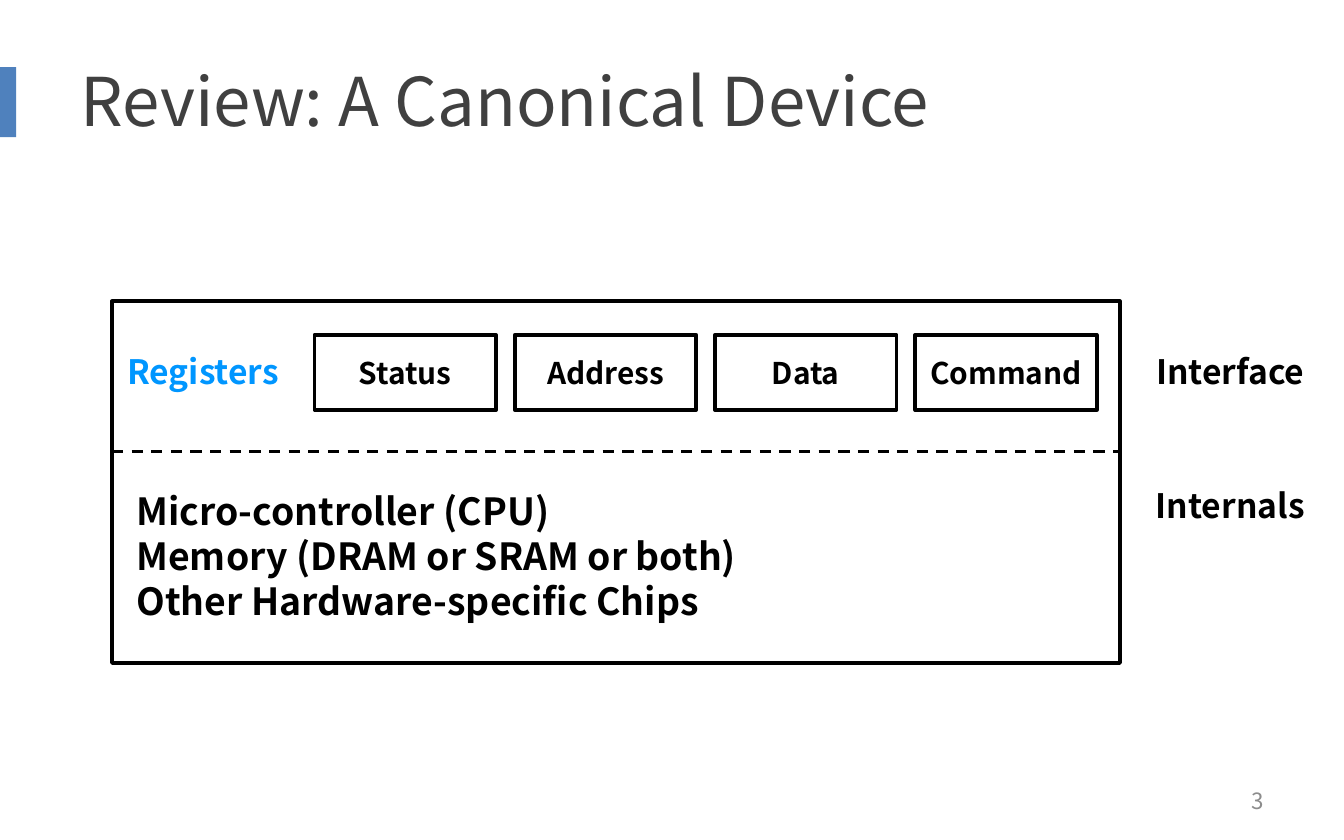
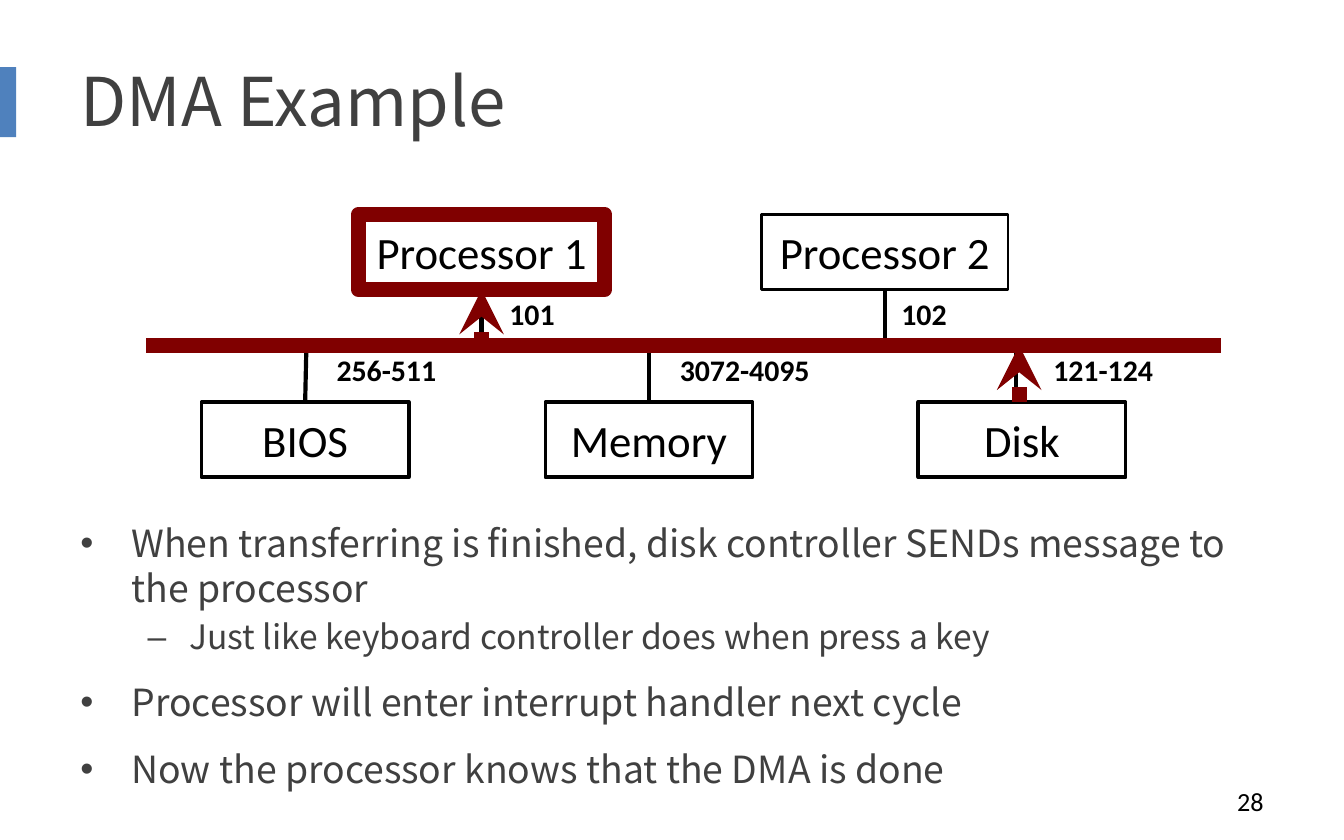
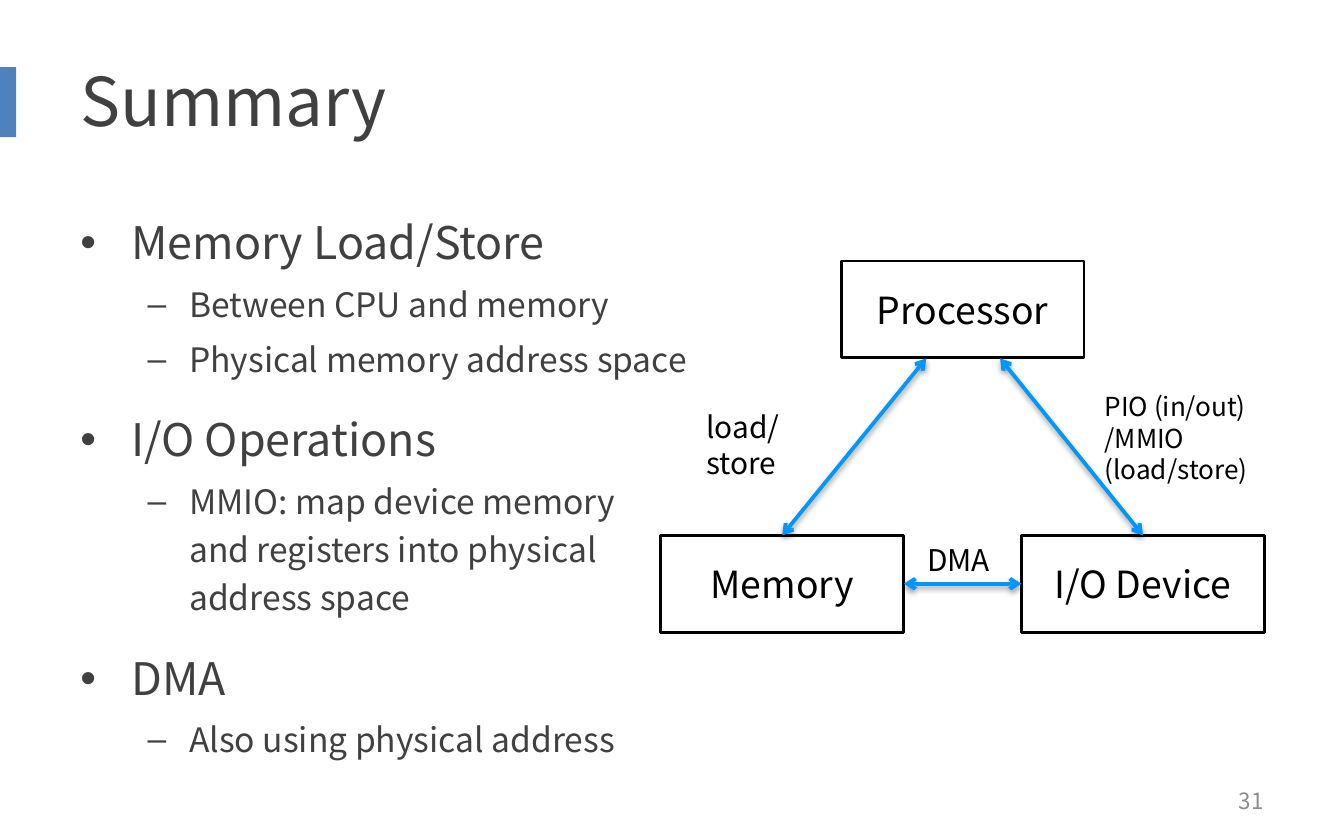
"""Builds three lecture slides about devices, DMA and input/output."""
from dataclasses import dataclass

from lxml.etree import SubElement
from pptx import Presentation
from pptx.dml.color import RGBColor
from pptx.enum.dml import MSO_LINE
from pptx.enum.shapes import MSO_CONNECTOR, MSO_SHAPE
from pptx.enum.text import MSO_ANCHOR, PP_ALIGN
from pptx.oxml.ns import qn
from pptx.util import Inches, Pt

COLUMNS, ROWS = 120, 75
TITLE_ONLY = 5
TOP, LEFT, BOTTOM, RIGHT = range(4)


@dataclass(frozen=True)
class TextStyle:
    size: float
    color: str = "000000"
    bold: bool = False
    font: str = "Noto Sans CJK SC"


@dataclass(frozen=True)
class Theme:
    black: str = "000000"
    white: str = "FFFFFF"
    accent: str = "4F81BD"
    blue: str = "0096FF"
    maroon: str = "800000"
    title: TextStyle = TextStyle(36, "404040")
    number: TextStyle = TextStyle(12, "8C8C8C")
    plain_number: TextStyle = TextStyle(14, font="Calibri")
    large: TextStyle = TextStyle(24, "404040")
    medium: TextStyle = TextStyle(20, "404040")
    small: TextStyle = TextStyle(18, "404040")
    register: TextStyle = TextStyle(16, bold=True)
    side: TextStyle = TextStyle(18, bold=True)
    registers: TextStyle = TextStyle(18, "0096FF", True)
    internals: TextStyle = TextStyle(20, bold=True)
    bus_box: TextStyle = TextStyle(24, font="Calibri")
    bus_range: TextStyle = TextStyle(16, bold=True, font="Calibri")
    node: TextStyle = TextStyle(20)
    caption: TextStyle = TextStyle(16)
    small_caption: TextStyle = TextStyle(14)


class Deck:
    def __init__(self, theme):
        self.theme = theme
        self.presentation = Presentation()
        self.presentation.slide_width = Inches(10)
        self.presentation.slide_height = Inches(6.25)
        self.slide = None

    def across(self, columns):
        return round(self.presentation.slide_width * columns / COLUMNS)

    def down(self, rows):
        return round(self.presentation.slide_height * rows / ROWS)

    def place(self, left, top, width, height):
        return self.across(left), self.down(top), self.across(width), self.down(height)

    def start(self, title, number, number_style=None):
        layout = self.presentation.slide_layouts[TITLE_ONLY]
        self.slide = self.presentation.slides.add_slide(layout)
        self.box((0, 6, 1.44, 6.24), fill=self.theme.accent)
        shape = self.slide.shapes.title
        shape.left, shape.top, shape.width, shape.height = self.place(6, 3, 108, 11.76)
        self.set_text(shape, [title], self.theme.title, PP_ALIGN.LEFT)
        self.text((86, 69.5, 28, 4), [str(number)],
                  number_style or self.theme.number, PP_ALIGN.RIGHT)

    def add_run(self, paragraph, text, style):
        run = paragraph.add_run()
        run.text = text
        run.font.name = style.font
        run.font.size = Pt(style.size)
        run.font.bold = style.bold
        run.font.color.rgb = RGBColor.from_string(style.color)

    def paragraphs(self, frame, count):
        return [frame.paragraphs[0]] + [frame.add_paragraph() for _ in range(count - 1)]

    def set_text(self, shape, lines, style, align, anchor=MSO_ANCHOR.MIDDLE):
        frame = shape.text_frame
        frame.word_wrap = True
        frame.vertical_anchor = anchor
        if align == PP_ALIGN.CENTER:
            frame.margin_left = frame.margin_right = 0
        for paragraph, line in zip(self.paragraphs(frame, len(lines)), lines):
            paragraph.alignment = align
            self.add_run(paragraph, line, style)

    def text(self, area, lines, style, align=PP_ALIGN.LEFT, anchor=MSO_ANCHOR.MIDDLE):
        shape = self.slide.shapes.add_textbox(*self.place(*area))
        self.set_text(shape, lines, style, align, anchor)

    def box(self, area, label=None, style=None, fill=None, line=None, weight=2):
        shape = self.slide.shapes.add_shape(MSO_SHAPE.RECTANGLE, *self.place(*area))
        shape.shadow.inherit = False
        if fill:
            shape.fill.solid()
            shape.fill.fore_color.rgb = RGBColor.from_string(fill)
        else:
            shape.fill.background()
        if line:
            shape.line.color.rgb = RGBColor.from_string(line)
            shape.line.width = Pt(weight)
        else:
            shape.line.fill.background()
        if label:
            self.set_text(shape, [label], style, PP_ALIGN.CENTER)
        return shape

    def line(self, start, end, color, weight, begin=None, finish=None,
             head=None, tail=None, dash=None, shadow=False):
        connector = self.slide.shapes.add_connector(
            MSO_CONNECTOR.STRAIGHT, self.across(start[0]), self.down(start[1]),
            self.across(end[0]), self.down(end[1]))
        if begin:
            connector.begin_connect(*begin)
        if finish:
            connector.end_connect(*finish)
        connector.line.color.rgb = RGBColor.from_string(color)
        connector.line.width = Pt(weight)
        if dash:
            connector.line.dash_style = dash
        properties = connector.line._get_or_add_ln()
        for tag, kind in (("a:headEnd", head), ("a:tailEnd", tail)):
            if kind:
                SubElement(properties, qn(tag), type=kind)
        effects = SubElement(connector._element.spPr, qn("a:effectLst"))
        if shadow:
            outer = SubElement(effects, qn("a:outerShdw"), blurRad="40000",
                               dist="20000", dir="5400000", rotWithShape="0")
            tint = SubElement(outer, qn("a:srgbClr"), val=self.theme.black)
            SubElement(tint, qn("a:alpha"), val="38000")

    def bullets(self, area, items, main_style, spacing=1.0):
        frame = self.slide.shapes.add_textbox(*self.place(*area)).text_frame
        frame.word_wrap = True
        levels = ((main_style, "•", 0.38, -0.38, 12), (self.theme.small, "–", 0.81, -0.31, 3.6))
        for index, (paragraph, (level, text)) in enumerate(
                zip(self.paragraphs(frame, len(items)), items)):
            style, mark, margin, indent, before = levels[level]
            properties = paragraph._p.get_or_add_pPr()
            properties.set("marL", str(Inches(margin)))
            properties.set("indent", str(Inches(indent)))
            SubElement(properties, qn("a:buFont"), typeface="Arial")
            SubElement(properties, qn("a:buChar"), char=mark)
            paragraph.level = level
            paragraph.line_spacing = spacing
            paragraph.space_before = Pt(before if index else 0)
            for number, part in enumerate(text.split("\n")):
                if number:
                    paragraph.add_line_break()
                self.add_run(paragraph, part, style)


def canonical_device(deck):
    theme = deck.theme
    deck.start("Review: A Canonical Device", 3)
    deck.box((10, 26.9, 90, 32.3), line=theme.black)
    deck.line((10, 40.3), (99.9, 40.3), theme.black, 1.5, dash=MSO_LINE.DASH)
    for index, name in enumerate(("Status", "Address", "Data", "Command")):
        deck.box((28.08 + 17.88 * index, 29.9, 16.2, 6.72), name, theme.register,
                 line=theme.black)
    for left, top, name, style in ((10.08, 29.76, "Registers", theme.registers),
                                   (101.8, 29.76, "Interface", theme.side),
                                   (101.8, 41.76, "Internals", theme.side)):
        deck.text((left, top, 16.1, 6.72), [name], style, PP_ALIGN.CENTER)
    deck.text((11, 41.8, 86.9, 15.6),
              ["Micro-controller (CPU)", "Memory (DRAM or SRAM or both)",
               "Other Hardware-specific Chips"], theme.internals)


def dma_example(deck):
    theme = deck.theme
    bus, upper, lower = 30.84, 19.15, 35.9
    deck.start("DMA Example", 28, theme.plain_number)
    deck.line((16, bus), (103, bus), theme.black, 4.5)
    bios, memory, _ = [
        deck.box((left, lower, 18.5, 6.72), name, theme.bus_box, theme.white, theme.black)
        for left, name in ((18, "BIOS"), (48.7, "Memory"), (82, "Disk"))]
    first, second = [
        deck.box((left, upper, 22, 6.72), name, theme.bus_box, line=theme.black, weight=1.5)
        for left, name in ((32, "Processor 1"), (68, "Processor 2"))]
    deck.line((90.72, bus), (90.72, lower), theme.black, 2.25)
    for column, device in ((27.36, bios), (57.95, memory)):
        deck.line((column, bus), (column, lower), theme.black, 2.25, finish=(device, TOP))
    for column, processor in ((43, first), (79, second)):
        deck.line((column, upper), (column, bus), theme.black, 2.25, begin=(processor, BOTTOM))
    for left, top, width, name in ((43, 25.8, 9, "101"), (78, 25.8, 9, "102"),
                                   (27, bus, 15, "256-511"), (58, bus, 17, "3072-4095"),
                                   (91, bus, 15, "121-124")):
        deck.text((left, top, width, 4.44), [name], theme.bus_range,
                  PP_ALIGN.CENTER, MSO_ANCHOR.TOP)
    deck.bullets((6, 45.84, 109, 29.16), [
        (0, "When transferring is finished, disk controller SENDs message to the processor"),
        (1, "Just like keyboard controller does when press a key"),
        (0, "Processor will enter interrupt handler next cycle"),
        (0, "Now the processor knows that the DMA is done")], theme.medium)
    deck.line((109, bus), (13, bus), theme.maroon, 8)
    active = deck.box((32, upper, 22, 6.72), line=theme.maroon, weight=8)
    deck.line((43, bus), (43, upper), theme.maroon, 8, finish=(active, BOTTOM), tail="stealth")
    deck.line((91, lower), (91, bus), theme.maroon, 8, tail="stealth")


def summary(deck):
    theme = deck.theme
    deck.start("Summary", 31)
    processor_bottom, device_top = 32, 47.8
    _, memory, device = [
        deck.box((left, top, 21.7, 8.64), name, theme.node, line=theme.black, weight=1.5)
        for left, top, name in ((75.1, 23.3, "Processor"), (59, device_top, "Memory"),
                                (91.2, device_top, "I/O Device"))]
    arrow = dict(color=theme.blue, weight=2, head="arrow", tail="arrow", shadow=True)
    deck.line((69.9, device_top), (82.7, processor_bottom), begin=(memory, TOP), **arrow)
    deck.line((89.3, processor_bottom), (102, device_top), finish=(device, TOP), **arrow)
    deck.line((80.7, 52.1), (91.2, 52.1), begin=(memory, RIGHT), finish=(device, LEFT), **arrow)
    for area, lines, style in (
            ((61.9, 35.9, 13.6, 4.44), ["load/store"], theme.caption),
            ((97.44, 34.3, 21.6, 6.84), ["PIO (in/out)", "/MMIO (load/store)"],
             theme.small_caption),
            ((81.6, 47.8, 8.3, 4.44), ["DMA"], theme.caption)):
        deck.text(area, lines, style, anchor=MSO_ANCHOR.TOP)
    deck.bullets((6, 17.64, 64.4, 53.2), [
        (0, "Memory Load/Store"),
        (1, "Between CPU and memory"),
        (1, "Physical memory address space"),
        (0, "I/O Operations"),
        (1, "MMIO: map device memory \nand registers into physical \naddress space"),
        (0, "DMA"),
        (1, "Also using physical address")], theme.large, 1.2)


def main():
    deck = Deck(Theme())
    canonical_device(deck)
    dma_example(deck)
    summary(deck)
    deck.presentation.save("out.pptx")


if __name__ == "__main__":
    main()
